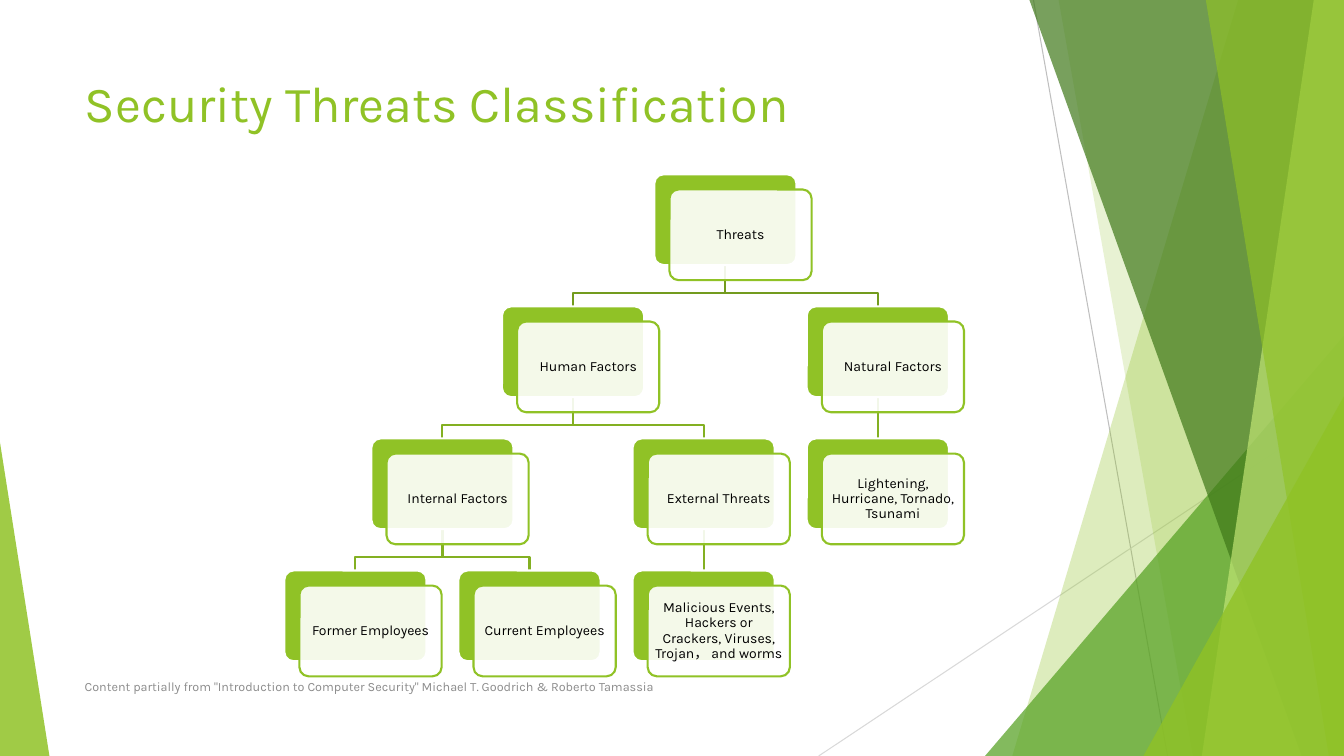
from dataclasses import dataclass
from typing import Any, Optional

import pptx
import pptx.dml.color
import pptx.enum.shapes
import pptx.enum.text
import pptx.oxml
import pptx.oxml.ns
import pptx.util

Inches = pptx.util.Inches
Pt = pptx.util.Pt
RGBColor = pptx.dml.color.RGBColor
Preset = pptx.enum.shapes.MSO_SHAPE
Align = pptx.enum.text.PP_ALIGN
Anchor = pptx.enum.text.MSO_ANCHOR

WHITE = RGBColor(0xFF, 0xFF, 0xFF)
BLACK = RGBColor(0x00, 0x00, 0x00)
GREEN = RGBColor(0x90, 0xC2, 0x26)
MID_GREEN = RGBColor(0x54, 0xA0, 0x21)
DARK_GREEN = RGBColor(0x3F, 0x78, 0x19)
PALE_GREEN = RGBColor(0xC0, 0xE4, 0x74)
ROOT_LINK = RGBColor(0x73, 0x9B, 0x1E)
LINK = RGBColor(0x83, 0xB0, 0x22)
GRAY = RGBColor(0xBF, 0xBF, 0xBF)
LIGHT_GRAY = RGBColor(0xD9, 0xD9, 0xD9)
FOOTNOTE_GRAY = RGBColor(0x8C, 0x8C, 0x8C)

FONT = "Karla"
SLIDE_WIDTH, SLIDE_HEIGHT = 13.33, 7.5
CARD_WIDTH, CARD_HEIGHT, CARD_OFFSET = 1.41, 0.9, 0.15
TREE_LEFT, TREE_TOP = 2.82, 1.73
COLUMN_STEP, ROW_STEP, BEND_RISE = 1.727, 1.31, 0.13

Point = tuple[float, float]


@dataclass
class Band:
    """Facet running from the top edge to the bottom edge."""
    top_left: float
    top_right: float
    bottom_right: float
    bottom_left: float
    color: RGBColor
    opacity: int


@dataclass
class Wedge:
    """Right triangle standing on the bottom edge; apex 0 is left, 1 is right."""
    left: float
    top: float
    width: float
    apex: float
    color: RGBColor
    opacity: int


@dataclass
class Threat:
    label: str
    children: tuple["Threat", ...] = ()
    column: int = 0

    @property
    def left(self) -> float:
        if self.children:
            return (self.children[0].left + self.children[-1].left) / 2
        return TREE_LEFT + self.column * COLUMN_STEP

    @property
    def center(self) -> float:
        return self.left + CARD_WIDTH / 2


FACETS: list[Band | Wedge] = [
    Band(12.28, 13.33, 13.33, 10.04, GREEN, 30),
    Band(10.5, 13.33, 13.33, 11.83, GREEN, 20),
    Wedge(9.77, 3.33, 3.56, 1, MID_GREEN, 72),
    Band(10.21, 13.33, 13.33, 12.91, DARK_GREEN, 70),
    Band(13.03, 13.33, 13.33, 11.92, PALE_GREEN, 70),
    Band(11.96, 13.33, 13.33, 13.18, GREEN, 65),
    Wedge(11.34, 3.93, 1.99, 1, GREEN, 80),
    Wedge(0, 4.39, 0.49, 0, GREEN, 85),
]

THREATS = Threat("Threats", (
    Threat("Human Factors", (
        Threat("Internal Factors", (
            Threat("Former Employees", column=0),
            Threat("Current Employees", column=1))),
        Threat("External Threats", (
            Threat("Malicious Events, Hackers or Crackers, Viruses, Trojan， and worms",
                   column=2),)))),
    Threat("Natural Factors", (
        Threat("Lightening, Hurricane, Tornado, Tsunami", column=3),)),
))


def set_all(target: Any, values: dict[str, Any]) -> None:
    for name, value in values.items():
        setattr(target, name, value)


def paint(shape: Any, color: RGBColor, opacity: int = 100,
          outline: Optional[RGBColor] = None) -> None:
    shape.shadow.inherit = False
    shape.fill.solid()
    shape.fill.fore_color.rgb = color
    if opacity < 100:
        tint = shape.fill._xPr.find(".//" + pptx.oxml.ns.qn("a:srgbClr"))
        tint.append(pptx.oxml.parse_xml(
            f'<a:alpha {pptx.oxml.ns.nsdecls("a")} val="{opacity * 1000}"/>'))
    if outline is None:
        shape.line.fill.background()
    else:
        shape.line.color.rgb = outline
        shape.line.width = Pt(1.5)


def write(shape: Any, text: str, size: float, color: RGBColor, align: Any,
          anchor: Any, **frame_format: Any) -> None:
    frame = shape.text_frame
    set_all(frame, {"text": text, "word_wrap": True, "vertical_anchor": anchor,
                    "auto_size": pptx.enum.text.MSO_AUTO_SIZE.NONE, **frame_format})
    paragraph = frame.paragraphs[0]
    paragraph.alignment = align
    font = paragraph.runs[0].font
    set_all(font, {"size": Pt(size), "name": FONT})
    font.color.rgb = color


def add_line(slide: Any, start: Point, end: Point, color: RGBColor, width: float) -> None:
    line = slide.shapes.add_connector(pptx.enum.shapes.MSO_CONNECTOR.STRAIGHT,
                                      *map(Inches, start + end))
    line.line.color.rgb = color
    line.line.width = Pt(width)
    line._element.spPr.append(pptx.oxml.parse_xml(
        f'<a:effectLst {pptx.oxml.ns.nsdecls("a")}/>'))


def add_outline(slide: Any, points: list[Point], close: bool) -> Any:
    corners = [(Inches(x), Inches(y)) for x, y in points]
    builder = slide.shapes.build_freeform(*corners[0])
    builder.add_line_segments(corners[1:], close=close)
    return builder.convert_to_shape()


def add_facet(slide: Any, facet: Band | Wedge) -> None:
    if isinstance(facet, Band):
        shape = add_outline(slide, [
            (facet.top_left, 0), (facet.top_right, 0),
            (facet.bottom_right, SLIDE_HEIGHT), (facet.bottom_left, SLIDE_HEIGHT)], True)
    else:
        shape = slide.shapes.add_shape(
            Preset.ISOSCELES_TRIANGLE, Inches(facet.left), Inches(facet.top),
            Inches(facet.width), Inches(SLIDE_HEIGHT - facet.top))
        shape.adjustments[0] = facet.apex
    paint(shape, facet.color, facet.opacity)


def add_links(slide: Any, parent: Threat, level: int = 0) -> None:
    color = LINK if level else ROOT_LINK
    start = TREE_TOP + level * ROW_STEP + CARD_HEIGHT
    end = TREE_TOP + (level + 1) * ROW_STEP
    for child in parent.children:
        add_links(slide, child, level + 1)
        if len(parent.children) == 1:
            add_line(slide, (parent.center, start), (child.center, end), color, 1.5)
            continue
        bend = end - BEND_RISE
        link = add_outline(slide, [(parent.center, start), (parent.center, bend),
                                   (child.center, bend), (child.center, end)], False)
        link.shadow.inherit = False
        link.fill.background()
        link.line.color.rgb = color
        link.line.width = Pt(1.5)


def add_cards(slide: Any, threat: Threat, level: int = 0) -> None:
    top = TREE_TOP + level * ROW_STEP
    for offset, color, opacity, outline in ((0, GREEN, 100, WHITE),
                                            (CARD_OFFSET, WHITE, 90, GREEN)):
        card = slide.shapes.add_shape(
            Preset.ROUNDED_RECTANGLE, Inches(threat.left + offset), Inches(top + offset),
            Inches(CARD_WIDTH), Inches(CARD_HEIGHT))
        card.adjustments[0] = 0.1
        paint(card, color, opacity, outline)
    margins = {f"margin_{side}": Inches(0.04) for side in ("left", "right", "top", "bottom")}
    write(card, threat.label, 10, BLACK, Align.CENTER, Anchor.MIDDLE, **margins)
    card.text_frame.paragraphs[0].line_spacing = 0.9
    for child in threat.children:
        add_cards(slide, child, level + 1)


def main() -> None:
    presentation = pptx.Presentation()
    set_all(presentation, {"slide_width": Inches(SLIDE_WIDTH),
                           "slide_height": Inches(SLIDE_HEIGHT)})
    slide = presentation.slides.add_slide(presentation.slide_layouts[5])

    # Background facets
    add_line(slide, (10.25, 0), (11.58, SLIDE_HEIGHT), GRAY, 0.75)
    add_line(slide, (SLIDE_WIDTH, 4.03), (8.12, SLIDE_HEIGHT), LIGHT_GRAY, 0.75)
    for facet in FACETS:
        add_facet(slide, facet)

    # Title
    title = slide.shapes.title
    set_all(title, {"left": Inches(0.74), "top": Inches(0.67),
                    "width": Inches(9.4), "height": Inches(1.44)})
    write(title, "Security Threats Classification", 36, GREEN, Align.LEFT, Anchor.TOP)

    # Threat tree
    add_links(slide, THREATS)
    add_cards(slide, THREATS)

    # Source note
    note = slide.shapes.add_textbox(Inches(0.74), Inches(6.61), Inches(6.89), Inches(0.4))
    write(note, 'Content partially from "Introduction to Computer Security" '
          "Michael T. Goodrich & Roberto Tamassia", 9, FOOTNOTE_GRAY, Align.LEFT, Anchor.MIDDLE)

    presentation.save("out.pptx")


if __name__ == "__main__":
    main()
